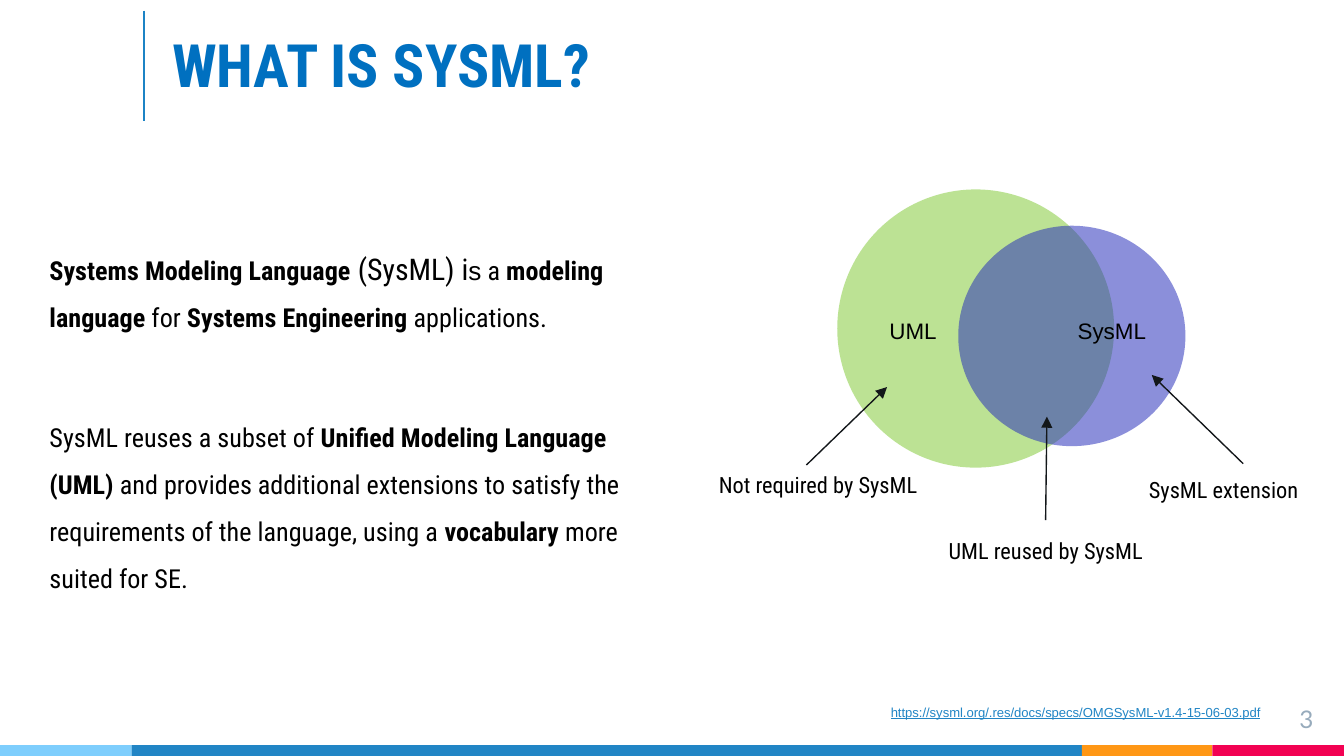
from itertools import accumulate

from lxml import etree
from pptx import Presentation
from pptx import util as u
from pptx.dml.color import RGBColor
from pptx.enum import shapes, text
from pptx.oxml.ns import qn

WIDTH = 10  # square grid, ten columns across the slide
HEIGHT = WIDTH * 9 / 16
BAR_HEIGHT = 0.08
HEADING = "Roboto Condensed"
COLORS = {
    "sky": "7ECEFD", "blue": "2185C5", "orange": "FF9715", "red": "F20253",
    "title": "0070C0", "rule": "1C83C5", "number": "97ABBC",
    "uml": "73C421", "sysml": "252DBA", "ink": "13171A", "black": "000000",
}
PLAIN, BOLD = {"bold": False}, {"bold": True}


def color(name):
    return RGBColor.from_string(COLORS[name])


def grid(*cells):
    return [u.Inches(cell) for cell in cells]


def write(para, spans, font_color="black", **base):
    """Fill a paragraph with (wording, font values) spans on top of base values."""
    for wording, changes in spans:
        span = para.add_run()
        span.text = wording
        span.font.color.rgb = color(font_color)
        for name, value in {**base, **changes}.items():
            setattr(span.font, name, u.Pt(value) if name == "size" else value)


def add_text(page, place, spans, spacing=None, align=text.PP_ALIGN.LEFT,
             inset=0.05, **base):
    frame = page.shapes.add_textbox(*grid(*place)).text_frame
    values = {"word_wrap": True, "margin_top": u.Inches(inset),
              "margin_bottom": u.Inches(inset)}
    for name, value in values.items():
        setattr(frame, name, value)
    para = frame.paragraphs[0]
    para.alignment = align
    para.line_spacing = spacing
    write(para, spans, **base)


def add_title(page, place, wording):
    title = page.shapes.title
    title.left, title.top, title.width, title.height = grid(*place)
    frame = title.text_frame
    values = {"word_wrap": True, "auto_size": text.MSO_AUTO_SIZE.NONE,
              "vertical_anchor": text.MSO_ANCHOR.TOP}
    for name, value in values.items():
        setattr(frame, name, value)
    para = frame.paragraphs[0]
    para.alignment = text.PP_ALIGN.LEFT
    write(para, [(wording, BOLD)], "title", name=HEADING, size=32)


def add_filled(page, kind, place, fill, opacity=None):
    shape = page.shapes.add_shape(kind, *grid(*place))
    shape.shadow.inherit = False
    shape.fill.solid()
    shape.fill.fore_color.rgb = color(fill)
    shape.line.fill.background()
    if opacity is not None:
        tint = shape._element.spPr.find(".//" + qn("a:srgbClr"))
        etree.SubElement(tint, qn("a:alpha"), val=str(opacity * 1000))


def add_line(page, start, end, line_color, weight, arrow=False):
    line = page.shapes.add_connector(
        shapes.MSO_CONNECTOR.STRAIGHT, *grid(*start, *end))
    line.line.color.rgb = color(line_color)
    line.line.width = u.Pt(weight)
    properties = line._element.spPr
    if arrow:
        outline = properties.find(qn("a:ln"))
        etree.SubElement(outline, qn("a:tailEnd"), type="triangle")
    etree.SubElement(properties, qn("a:effectLst"))


def add_footer(page):
    edges = [0, *accumulate([0.98, 7.07, 0.97, 0.98])]
    for left, right, fill in zip(edges, edges[1:], ["sky", "blue", "orange", "red"]):
        place = (left, HEIGHT - BAR_HEIGHT, right - left, BAR_HEIGHT)
        add_filled(page, shapes.MSO_SHAPE.RECTANGLE, place, fill)
    add_text(page, (9.27, 5.14, 0.6, 0.34), [("3", {})], inset=0.1,
             align=text.PP_ALIGN.RIGHT, font_color="number", name="Lato", size=13)
    link = "https://sysml.org/.res/docs/specs/OMGSysML-v1.4-15-06-03.pdf"
    add_text(page, (6.53, 5.19, 3, 0.23), [(link, {"underline": True})],
             font_color="blue", name="Arial", size=7)


def add_explanation(page):
    definition = [
        ("Systems Modeling Language", BOLD),
        (" (SysML) i", {"size": 16}),
        ("s", {"name": "Arial"}),
        (" a", PLAIN),
        (" modeling language", BOLD),
        (" for ", PLAIN),
        ("Systems Engineering", BOLD),
        (" applications.", PLAIN),
    ]
    reuse = [
        ("SysML reuses a subset of ", PLAIN),
        ("Unified Modeling Language (UML)", BOLD),
        (" and provides additional extensions to satisfy the requirements "
         "of the language, using a ", PLAIN),
        ("vocabulary ", BOLD),
        ("more suited for SE.", PLAIN),
    ]
    for place, spans in [((0.27, 1.68, 5.06, 0.82), definition),
                         ((0.27, 2.97, 4.74, 1.48), reuse)]:
        add_text(page, place, spans, spacing=1.5, name=HEADING, size=14)


def add_venn(page):
    circles = [((6.23, 1.41, 2.06, 2.07), "uml", 48),
               ((7.13, 1.68, 1.69, 1.64), "sysml", 53)]
    for place, fill, opacity in circles:
        add_filled(page, shapes.MSO_SHAPE.OVAL, place, fill, opacity)

    labels = [
        ("UML", "Arial", (6.52, 2.31, 0.63)),
        ("SysML", "Arial", (7.92, 2.31, 0.9)),
        ("UML reused by SysML", HEADING, (6.96, 3.95, 1.65)),
        ("Not required by SysML", HEADING, (5.25, 3.46, 1.77)),
        ("SysML extension", HEADING, (8.45, 3.49, 1.65)),
    ]
    for wording, font, place in labels:
        add_text(page, (*place, 0.3), [(wording, {})], name=font, size=12)

    arrows = [((7.78, 3.87), (7.79, 3.1)),
              ((6, 3.46), (6.6, 2.88)),
              ((9.25, 3.45), (8.57, 2.79))]
    for start, end in arrows:
        add_line(page, start, end, "ink", 0.75, arrow=True)


def main():
    deck = Presentation()
    deck.slide_width, deck.slide_height = grid(WIDTH, HEIGHT)
    page = deck.slides.add_slide(deck.slide_layouts.get_by_name("Title Only"))
    add_footer(page)
    add_line(page, (1.07, 0.08), (1.07, 0.9), "rule", 1)
    add_title(page, (1.18, 0.16, 4.07, 0.64), "WHAT IS SYSML?")
    add_explanation(page)
    add_venn(page)
    deck.save("out.pptx")


if __name__ == "__main__":
    main()
